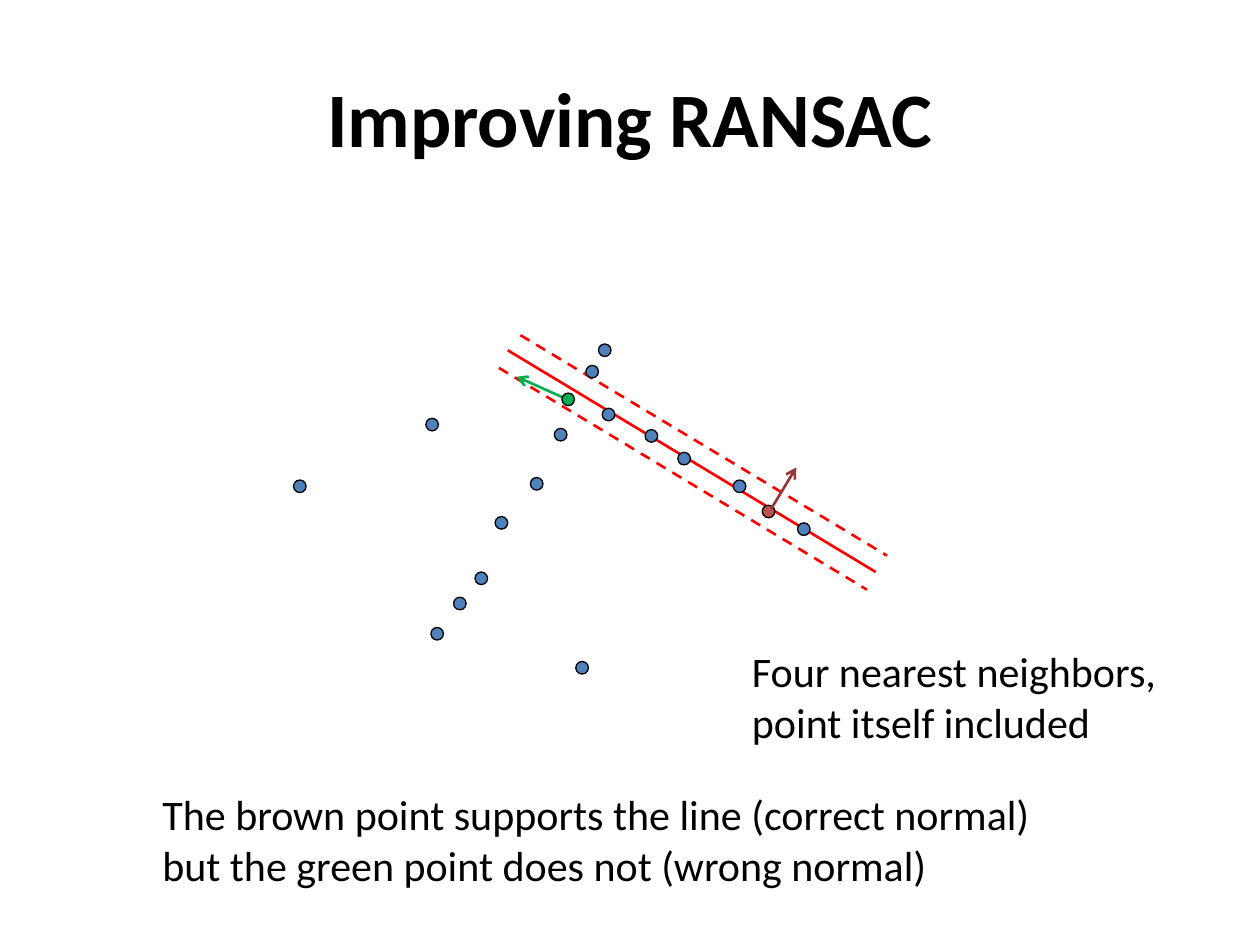
from collections import namedtuple

from lxml import etree
from pptx import Presentation
from pptx.dml.color import RGBColor
from pptx.enum.dml import MSO_LINE
from pptx.enum.shapes import MSO_CONNECTOR, MSO_SHAPE
from pptx.enum.text import MSO_ANCHOR, PP_ALIGN
from pptx.oxml.ns import qn
from pptx.util import Inches, Pt

STRAIGHT, OVAL, DASH = MSO_CONNECTOR.STRAIGHT, MSO_SHAPE.OVAL, MSO_LINE.DASH
TOP, MIDDLE = MSO_ANCHOR.TOP, MSO_ANCHOR.MIDDLE
LEFT, CENTER = PP_ALIGN.LEFT, PP_ALIGN.CENTER
FONT = "Calibri"
COLORS = {"ink": "000000", "model": "FF0000", "sample": "4F81BD",
          "wrong": "00B050", "correct": "C0504D", "normal": "953735"}

Box = namedtuple("Box", "left top width height")
PAGE = Box(0, 0, Inches(10), Inches(7.5))
PLOT_COLUMNS, PLOT_ROWS = 60, 30

SAMPLES = [(19.8, 17.5), (16.5, 23.9), (14.3, 9.7), (22.6, 14.4),
           (28.3, 8.9), (24.5, 10.5), (38.7, 14.6), (34.3, 12.4),
           (43.8, 18), (18.2, 21.9), (26.2, 29), (14.7, 26.3),
           (28, 3.8), (3.8, 14.6), (27, 5.5), (31.7, 10.6)]
WRONG_POINT, CORRECT_POINT = (25.1, 7.7), (41, 16.6)
FITTED_LINE = ((20.3, 3.8), (49.5, 21.4))
MARGIN_LINES = [((21.3, 2.6), (50.4, 20.1)), ((19.6, 5.2), (48.8, 22.8))]
WRONG_NORMAL = ((24.8, 7.6), (21, 5.9))
CORRECT_NORMAL = ((41.2, 16.4), (43.2, 13.1))


def color(name):
    """Return the named colour."""
    return RGBColor.from_string(COLORS[name])


def share(box, left, top, width, height):
    """Return the part of a box given by shares of its size."""
    return Box(round(box.left + left * box.width),
               round(box.top + top * box.height),
               round(width * box.width), round(height * box.height))


def grid_point(box, column, row):
    """Return the position of a grid point in the plot box."""
    return (round(box.left + column * box.width / PLOT_COLUMNS),
            round(box.top + row * box.height / PLOT_ROWS))


def add_line(page, box, ends, color_name, dashed=False, arrow=False):
    """Draw a line between two grid points."""
    start, end = ends
    line = page.shapes.add_connector(
        STRAIGHT, *grid_point(box, *start), *grid_point(box, *end))
    line.line.color.rgb = color(color_name)
    line.line.width = Pt(1.5)
    if dashed:
        line.line.dash_style = DASH
    if arrow:
        etree.SubElement(line.line._get_or_add_ln(), qn("a:tailEnd"), type="arrow")
    etree.SubElement(line._element.spPr, qn("a:effectLst"))


def add_dot(page, box, center, color_name):
    """Draw an outlined dot one grid cell wide around a grid point."""
    column, row = center
    left, top = grid_point(box, column - 0.5, row - 0.5)
    dot = page.shapes.add_shape(OVAL, left, top, round(box.width / PLOT_COLUMNS),
                                round(box.height / PLOT_ROWS))
    dot.shadow.inherit = False
    dot.fill.solid()
    dot.fill.fore_color.rgb = color(color_name)
    dot.line.color.rgb = color("ink")
    dot.line.width = Pt(0.75)


def add_plot(page, box):
    """Draw the fitted line, its margins, the points and two normals."""
    for ends in MARGIN_LINES:
        add_line(page, box, ends, "model", dashed=True)
    add_line(page, box, FITTED_LINE, "model")
    add_line(page, box, WRONG_NORMAL, "wrong", arrow=True)
    for center in SAMPLES:
        add_dot(page, box, center, "sample")
    add_dot(page, box, WRONG_POINT, "wrong")
    add_dot(page, box, CORRECT_POINT, "correct")
    add_line(page, box, CORRECT_NORMAL, "normal", arrow=True)


def add_text(page, box, text, size=24, bold=False, align=LEFT, anchor=TOP):
    """Write one wrapped paragraph in a box."""
    frame = page.shapes.add_textbox(*box).text_frame
    frame.word_wrap = True
    frame.vertical_anchor = anchor
    frame.text = text
    para = frame.paragraphs[0]
    para.alignment = align
    for span in para.runs:
        span.font.name = FONT
        span.font.size = Pt(size)
        span.font.bold = bold
        span.font.color.rgb = color("ink")


def add_ransac_slide(deck, box):
    """Add the slide with its title, plot and two remarks."""
    page = deck.slides.add_slide(deck.slide_layouts[6])
    add_text(page, share(box, 0.05, 0.04, 0.9, 0.167), "Improving RANSAC",
             size=44, bold=True, align=CENTER, anchor=MIDDLE)
    add_plot(page, share(box, 0.2, 0.32, 0.6, 0.4))
    add_text(page, share(box, 0.587, 0.677, 0.343, 0.121),
             "Four nearest neighbors, point itself included")
    add_text(page, share(box, 0.119, 0.828, 0.751, 0.121),
             "The brown point supports the line (correct normal) "
             "but the green point does not (wrong normal)")


def main():
    """Build and save the deck."""
    deck = Presentation()
    deck.slide_width, deck.slide_height = PAGE.width, PAGE.height
    add_ransac_slide(deck, PAGE)
    deck.save("out.pptx")


if __name__ == "__main__":
    main()
